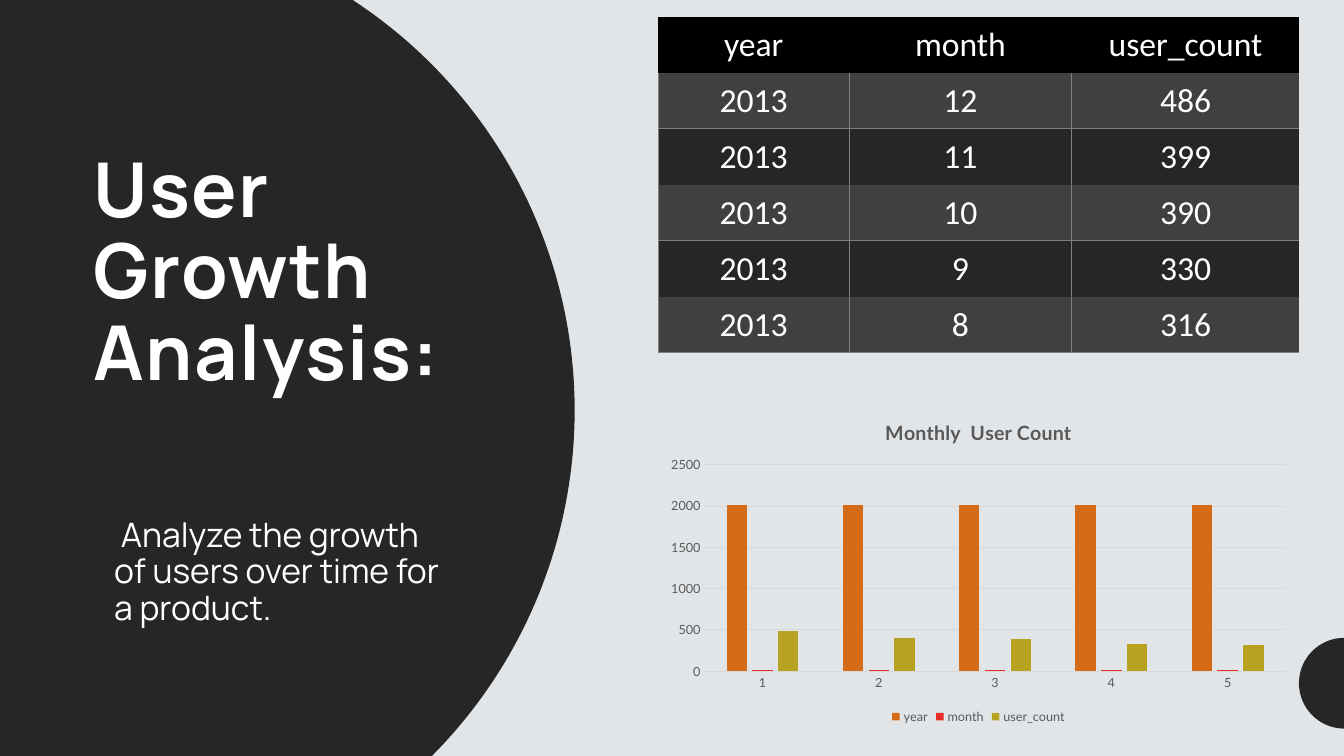
from math import asin, cos, pi, sin

from lxml import etree
from pptx import Presentation
from pptx.chart.data import CategoryChartData
from pptx.dml.color import RGBColor
from pptx.enum.chart import XL_CHART_TYPE, XL_LEGEND_POSITION, XL_TICK_MARK
from pptx.enum.text import MSO_ANCHOR, PP_ALIGN
from pptx.oxml.ns import qn
from pptx.util import Inches, Pt

PALE = RGBColor(0xE2, 0xE5, 0xE8)
DARK = RGBColor(0x26, 0x26, 0x26)
BAND = RGBColor(0x40, 0x40, 0x40)
BLACK = RGBColor(0, 0, 0)
WHITE = RGBColor(0xFF, 0xFF, 0xFF)
RULE = RGBColor(0x80, 0x80, 0x80)
GRID = RGBColor(0xD9, 0xD9, 0xD9)
LABEL = RGBColor(0x59, 0x59, 0x59)
SERIES = [RGBColor(0xD5, 0x6A, 0x17), RGBColor(0xE7, 0x2D, 0x29), RGBColor(0xB8, 0xA2, 0x21)]

COLUMNS, ROWS = 80, 45
NO_STYLE = "{2D5ABB26-0587-4C30-8999-92F81FD0307C}"
HEADERS = ["year", "month", "user_count"]
USERS_BY_MONTH = [(2013, 12, 486), (2013, 11, 399), (2013, 10, 390), (2013, 9, 330), (2013, 8, 316)]


class GrowthSlide:
    text_font, table_font, chart_font = "Manrope", "Calibri", "Lato"

    def __init__(self, presentation):
        self.cell = presentation.slide_height / ROWS
        self.slide = presentation.slides.add_slide(presentation.slide_layouts[6])
        fill = self.slide.background.fill
        fill.solid()
        fill.fore_color.rgb = PALE

    def units(self, *lengths):
        return [round(length * self.cell) for length in lengths]

    def style(self, font, name, size, color, bold=False):
        font.name, font.size, font.bold = name, Pt(size), bold
        font.color.rgb = color

    def disc(self, x, y, radius, start, end, edge=(), steps=90):
        angles = [start + (end - start) * i / steps for i in range(steps + 1)]
        arc = [(x + radius * cos(a), y + radius * sin(a)) for a in angles]
        points = [tuple(self.units(*point)) for point in [*arc, *edge]]
        builder = self.slide.shapes.build_freeform(*points[0])
        builder.add_line_segments(points[1:])
        shape = builder.convert_to_shape()
        shape.shadow.inherit = False
        shape.fill.solid()
        shape.fill.fore_color.rgb = DARK
        shape.line.fill.background()

    def text(self, box, words, size, bold=False, anchor=MSO_ANCHOR.TOP, bottom=0.3, indent=0, space=0, tracking=0):
        frame = self.slide.shapes.add_textbox(*self.units(*box)).text_frame
        frame.word_wrap, frame.vertical_anchor = True, anchor
        frame.margin_bottom = self.units(bottom)[0]
        paragraph = frame.paragraphs[0]
        paragraph.line_spacing = 0.9
        paragraph.space_before = paragraph.space_after = Pt(space)
        properties = paragraph._p.get_or_add_pPr()
        properties.set("marL", str(Inches(indent)))
        properties.set("indent", "0")
        run = paragraph.add_run()
        run.text = words
        self.style(run.font, self.text_font, size, WHITE, bold)
        run.font._element.set("spc", str(tracking * 100))

    def borders(self, cell, ruled):
        properties = cell._tc.get_or_add_tcPr()
        for place, side in enumerate("LRTB"):
            line = etree.Element(qn(f"a:ln{side}"), w=str(Pt(0.5)))
            if side in ruled:
                fill = etree.SubElement(line, qn("a:solidFill"))
                etree.SubElement(fill, qn("a:srgbClr"), val=str(RULE))
            else:
                etree.SubElement(line, qn("a:noFill"))
            properties.insert(place, line)

    def table(self, box, widths, rows):
        count = len(rows)
        table = self.slide.shapes.add_table(count, len(widths), *self.units(*box)).table
        table._tbl.tblPr.find(qn("a:tableStyleId")).text = NO_STYLE
        for column, width in zip(table.columns, self.units(*widths)):
            column.width = width
        for r, values in enumerate(rows):
            for c, value in enumerate(values):
                cell = table.cell(r, c)
                cell.fill.solid()
                cell.fill.fore_color.rgb = BLACK if r == 0 else BAND if r % 2 else DARK
                cell.vertical_anchor = MSO_ANCHOR.MIDDLE
                cell.margin_left = cell.margin_right = cell.margin_top = Inches(0.01)
                cell.margin_bottom = 0
                paragraph = cell.text_frame.paragraphs[0]
                paragraph.alignment = PP_ALIGN.CENTER
                run = paragraph.add_run()
                run.text = str(value)
                self.style(run.font, self.table_font, 24, WHITE)
                inner_right = "R" if c < len(widths) - 1 else ""
                self.borders(cell, "L" + inner_right + ("B" if r % 2 else "T") if r else "")

    def chart(self, box, title, names, rows):
        data = CategoryChartData()
        data.categories = [str(i + 1) for i in range(len(rows))]
        for name, values in zip(names, zip(*rows)):
            data.add_series(name, [round(value, -1) for value in values])
        chart = self.slide.shapes.add_chart(XL_CHART_TYPE.COLUMN_CLUSTERED, *self.units(*box), data).chart
        self.style(chart.font, self.chart_font, 10, BLACK)
        chart.has_title = True
        chart.chart_title.include_in_layout = False
        run = chart.chart_title.text_frame.paragraphs[0].add_run()
        run.text = title
        self.style(run.font, self.chart_font, 14, LABEL, True)
        chart.has_legend = True
        chart.legend.position = XL_LEGEND_POSITION.BOTTOM
        chart.legend.include_in_layout = False
        category, value = chart.category_axis, chart.value_axis
        for part in (chart.legend.font, category.tick_labels.font, value.tick_labels.font):
            self.style(part, self.chart_font, 9, LABEL)
        for axis in (category, value):
            axis.major_tick_mark = axis.minor_tick_mark = XL_TICK_MARK.NONE
        for line in (category.format.line, value.major_gridlines.format.line):
            line.color.rgb, line.width = GRID, Pt(0.75)
        value.format.line.fill.background()
        value.minimum_scale, value.maximum_scale, value.major_unit = 0, 2500, 500
        plot = chart.plots[0]
        plot.gap_width, plot.overlap, plot.vary_by_categories = 219, -27, False
        for series, color in zip(plot.series, SERIES):
            series.invert_if_negative = False
            series.format.fill.solid()
            series.format.fill.fore_color.rgb = color
            series.format.line.fill.background()


presentation = Presentation()
presentation.slide_width, presentation.slide_height = Inches(13.33), Inches(7.5)
growth = GrowthSlide(presentation)

center_x, center_y, radius = 5.03, 24.42, 29.17
growth.disc(center_x, center_y, radius, asin(-center_y / radius), asin((ROWS - center_y) / radius),
            edge=[(0, ROWS), (0, 0)])
growth.text((5, 7.4, 26.5, 21.95), "User Growth Analysis:", 54, True, MSO_ANCHOR.BOTTOM, bottom=5.73, tracking=1)
growth.text((5, 30.57, 22.6, 7.4), "\u00a0Analyze the growth of users over time for a product.", 24, indent=0.2, space=4)
growth.disc(COLUMNS, 40.67, 2.7, pi / 2, 3 * pi / 2)
growth.table((39.18, 1, 38.15, 20), (11.35, 13.25, 13.55), [HEADERS, *USERS_BY_MONTH])
growth.chart((39.18, 23.97, 38.1, 19.4), "Monthly  User Count", HEADERS, USERS_BY_MONTH)

presentation.save("out.pptx")
